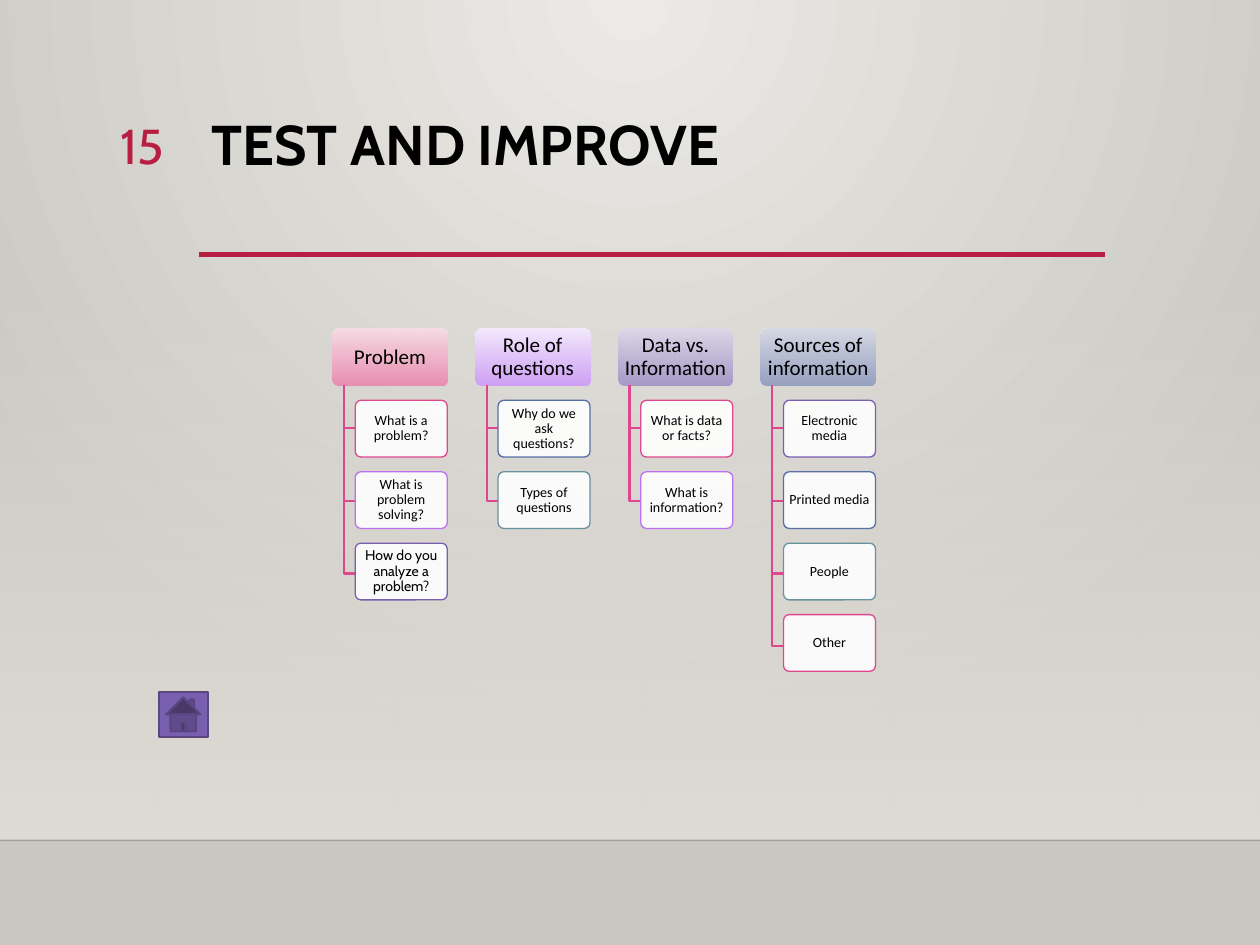
from dataclasses import dataclass

import lxml.etree
import pptx
import pptx.dml.color
import pptx.enum.shapes
import pptx.enum.text
import pptx.oxml.ns
import pptx.util

Inches = pptx.util.Inches
SHAPES = pptx.enum.shapes.MSO_SHAPE
ALIGN = pptx.enum.text.PP_ALIGN
ANCHOR = pptx.enum.text.MSO_ANCHOR
qn = pptx.oxml.ns.qn


@dataclass(frozen=True)
class Theme:
    ink: str = "000000"
    paper: str = "FFFFFF"
    accent: str = "B71E42"
    pink: str = "DE478E"
    lilac: str = "BC72F0"
    violet: str = "795FAF"
    violet_dark: str = "5A4681"
    blue: str = "586EA6"
    teal: str = "6892A0"
    glow: str = "ECEAE7"
    stone: str = "CAC7C1"
    wall: str = "DFDBD5"
    floor_edge: str = "000001"
    heading_font: str = "Cabin"
    body_font: str = "Calibri"
    title_size: int = 32
    number_size: int = 28
    topic_size: int = 12
    card_size: int = 8


@dataclass(frozen=True)
class Box:
    left: float
    top: float
    width: float
    height: float

    def emu(self) -> list[int]:
        return [Inches(v) for v in (self.left, self.top, self.width, self.height)]


@dataclass(frozen=True)
class Card:
    text: str
    outline: str
    font: str = Theme.body_font


@dataclass(frozen=True)
class Topic:
    text: str
    light: str
    deep: str
    cards: tuple[Card, ...]


@dataclass(frozen=True)
class Grid:
    left: float = 2.64
    top: float = 2.61
    column: float = 1.133
    row: float = 0.567
    topic_width: float = 0.91
    card_width: float = 0.73
    height: float = 0.45
    stem: float = 0.09
    first_drop: float = 0.34
    next_drop: float = 0.576

    def topic(self, column: int) -> Box:
        return Box(self.left + column * self.column, self.top, self.topic_width, self.height)

    def card(self, column: int, row: int) -> Box:
        indent = self.topic_width - self.card_width
        return Box(self.left + column * self.column + indent,
                   self.top + row * self.row, self.card_width, self.height)


THEME = Theme()
GRID = Grid()
WIDTH, HEIGHT = 10, 7.5

TOPICS = (
    Topic("Problem", "F7DCE5", "EA8AAE", (
        Card("What is a problem?", THEME.pink),
        Card("What is problem solving?", THEME.lilac),
        Card("How do you analyze a problem?", THEME.violet, THEME.heading_font))),
    Topic("Role of questions", "F4EAFD", "CE9CF7", (
        Card("Why do we ask questions?", THEME.blue),
        Card("Types of questions", THEME.teal))),
    Topic("Data vs. Information", "DCD8E8", "A395C6", (
        Card("What is data or facts?", THEME.pink),
        Card("What is information?", THEME.lilac))),
    Topic("Sources of information", "D6D9E5", "929DC0", (
        Card("Electronic media", THEME.violet),
        Card("Printed media", THEME.blue),
        Card("People", THEME.teal),
        Card("Other", THEME.pink))),
)


def rgb(value: str) -> pptx.dml.color.RGBColor:
    return pptx.dml.color.RGBColor.from_string(value)


def set_all(target, values: dict) -> None:
    for name, value in values.items():
        setattr(target, name, value)


def set_alpha(element, percents: list[int]) -> None:
    """Give each colour inside the element its opacity, in order."""
    for color, percent in zip(element.iter(qn("a:srgbClr")), percents):
        lxml.etree.SubElement(color, qn("a:alpha"), val=str(percent * 1000))


def set_gradient(fill, start: str, end: str) -> None:
    fill.gradient()
    for stop, color, position in zip(fill.gradient_stops, (start, end), (0, 1)):
        stop.color.rgb = rgb(color)
        stop.position = position


def set_line(line, color: str, points: float) -> None:
    line.color.rgb = rgb(color)
    line.width = pptx.util.Pt(points)


def add_block(slide, kind, box: Box):
    shape = slide.shapes.add_shape(kind, *box.emu())
    shape.shadow.inherit = False
    return shape


def add_rule(slide, left: float, right: float, y: float, color: str, points: float):
    rule = slide.shapes.add_connector(pptx.enum.shapes.MSO_CONNECTOR.STRAIGHT,
                                      Inches(left), Inches(y), Inches(right), Inches(y))
    set_line(rule.line, color, points)
    lxml.etree.SubElement(rule._element.spPr, qn("a:effectLst"))
    return rule


def write(shape, text: str, size: float, font: str, color: str = THEME.ink,
          align=ALIGN.CENTER, anchor=ANCHOR.MIDDLE, bold: bool = False,
          inset: tuple[float, float] = (0.1, 0.05)) -> None:
    across, down = map(Inches, inset)
    frame = shape.text_frame
    set_all(frame, {"word_wrap": True, "vertical_anchor": anchor,
                    "margin_left": across, "margin_right": across,
                    "margin_top": down, "margin_bottom": down})
    paragraph = frame.paragraphs[0]
    set_all(paragraph, {"text": text, "alignment": align, "line_spacing": 0.9})
    set_all(paragraph.runs[0].font, {"size": pptx.util.Pt(size), "name": font, "bold": bold})
    paragraph.runs[0].font.color.rgb = rgb(color)


def add_backdrop(slide) -> None:
    set_gradient(slide.background.fill, THEME.glow, THEME.stone)
    gradient = slide._element.find(".//" + qn("a:gradFill"))
    gradient.remove(gradient.find(qn("a:lin")))
    circle = lxml.etree.SubElement(gradient, qn("a:path"), path="circle")
    lxml.etree.SubElement(circle, qn("a:fillToRect"), l="43000", t="0", r="43000", b="100000")

    wall = add_block(slide, SHAPES.RECTANGLE, Box(0, 2.2, WIDTH, 4.46))
    set_gradient(wall.fill, THEME.wall, THEME.wall)
    wall.fill.gradient_angle = 270
    set_alpha(wall._element.spPr, [0, 100])
    wall.line.fill.background()
    floor_edge = add_rule(slide, 0, WIDTH, 6.67, THEME.floor_edge, 1)
    set_alpha(floor_edge._element.spPr, [20])


def add_topic(slide, topic: Topic, column: int) -> None:
    box = GRID.topic(column)
    header = add_block(slide, SHAPES.ROUNDED_RECTANGLE, box)
    header.adjustments[0] = 0.1
    set_gradient(header.fill, topic.light, topic.deep)
    header.fill.gradient_angle = 270
    set_alpha(header._element.spPr, [100, 92])
    header.line.fill.background()
    write(header, topic.text, THEME.topic_size, THEME.body_font, inset=(0.04, 0.03))
    for row, card in enumerate(topic.cards):
        add_branch(slide, box, GRID.card(column, row + 1).left,
                   GRID.first_drop + row * GRID.next_drop)
        add_card(slide, card, GRID.card(column, row + 1))


def add_branch(slide, header: Box, card_left: float, drop: float) -> None:
    x, y = header.left + GRID.stem, header.top + header.height
    path = slide.shapes.build_freeform(Inches(x), Inches(y))
    path.add_line_segments([(Inches(x), Inches(y + drop)),
                            (Inches(card_left), Inches(y + drop))], close=False)
    branch = path.convert_to_shape()
    branch.shadow.inherit = False
    branch.fill.background()
    set_line(branch.line, THEME.pink, 1.25)


def add_card(slide, card: Card, box: Box) -> None:
    shape = add_block(slide, SHAPES.ROUNDED_RECTANGLE, box)
    shape.adjustments[0] = 0.1
    shape.fill.solid()
    shape.fill.fore_color.rgb = rgb(THEME.paper)
    set_alpha(shape._element.spPr, [90])
    set_line(shape.line, card.outline, 0.75)
    write(shape, card.text, THEME.card_size, card.font, inset=(0.03, 0.02))


def main() -> None:
    deck = pptx.Presentation()
    set_all(deck, {"slide_width": Inches(WIDTH), "slide_height": Inches(HEIGHT)})
    slide = deck.slides.add_slide(deck.slide_layouts[6])
    add_backdrop(slide)

    # Title, its rule and the slide number
    add_rule(slide, 1.58, 8.77, 2.02, THEME.accent, 2.5)
    title = slide.shapes.add_textbox(*Box(1.58, 0.88, 7.19, 1.15).emu())
    write(title, "TEST AND IMPROVE", THEME.title_size, THEME.heading_font,
          align=ALIGN.LEFT, anchor=ANCHOR.TOP, bold=True)
    number = slide.shapes.add_textbox(*Box(0.53, 0.87, 0.87, 0.55).emu())
    write(number, "15", THEME.number_size, THEME.heading_font, THEME.accent,
          align=ALIGN.RIGHT, anchor=ANCHOR.TOP)
    number.text_frame.paragraphs[0].line_spacing = 1.0

    # Topic columns
    for column, topic in enumerate(TOPICS):
        add_topic(slide, topic, column)

    # Home button
    home = add_block(slide, SHAPES.ACTION_BUTTON_HOME, Box(1.26, 5.49, 0.39, 0.36))
    home.fill.solid()
    home.fill.fore_color.rgb = rgb(THEME.violet)
    set_line(home.line, THEME.violet_dark, 1.25)

    deck.save("out.pptx")


if __name__ == "__main__":
    main()
